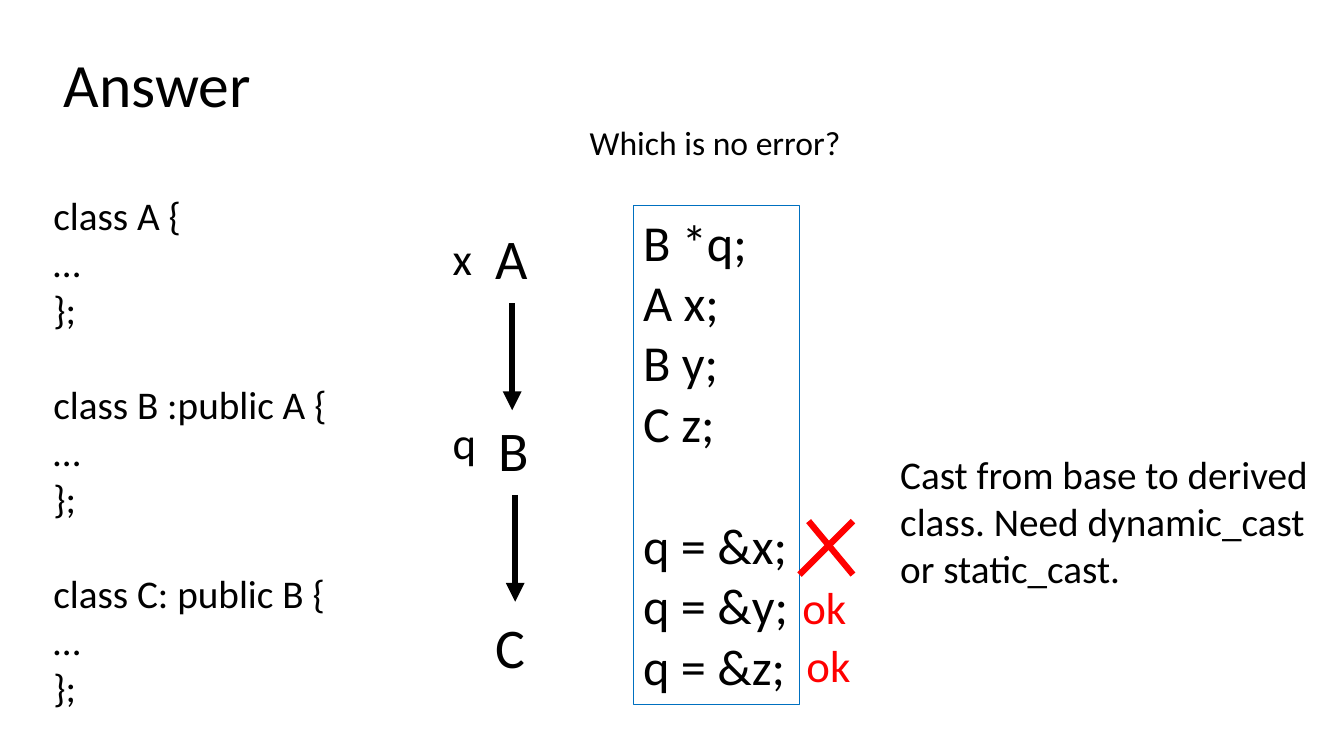
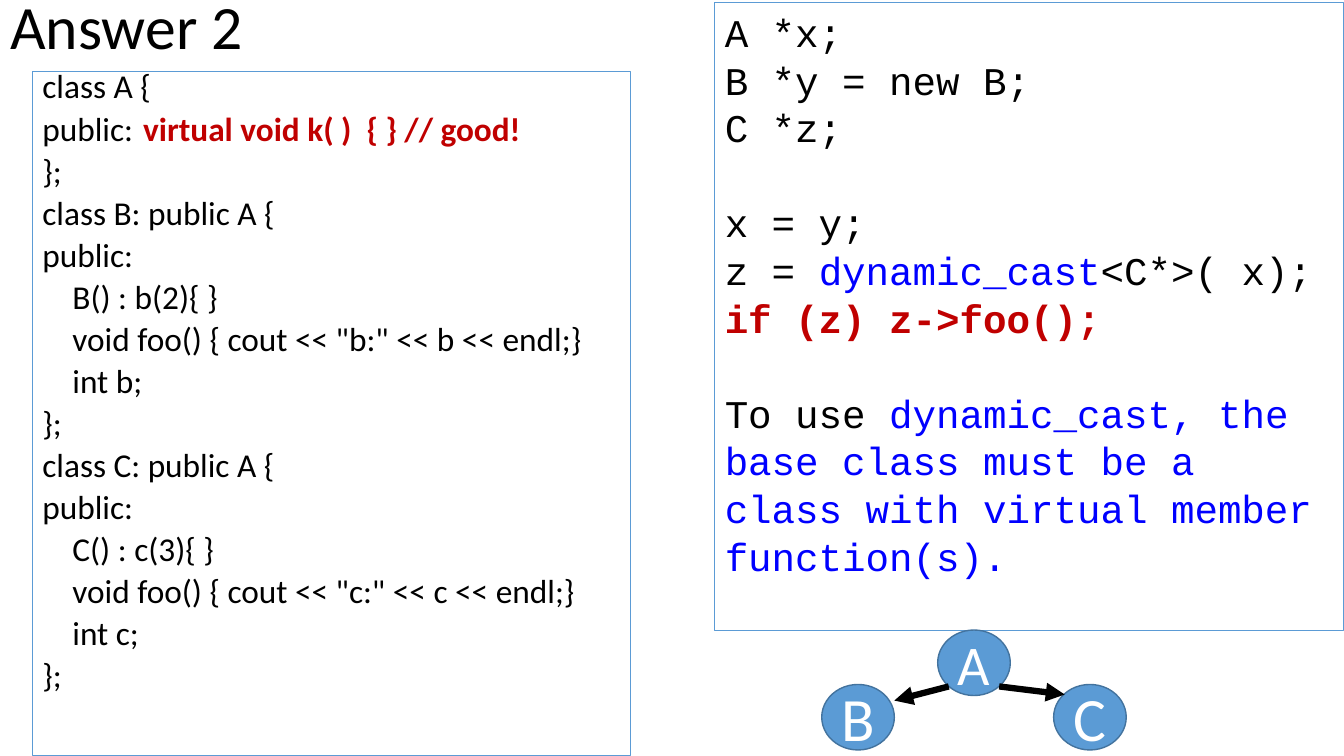
from pptx import Presentation
from pptx.dml.color import RGBColor
from pptx.enum.shapes import MSO_CONNECTOR as Connector, MSO_SHAPE as Shape
from pptx.enum.text import MSO_ANCHOR as Anchor, MSO_AUTO_SIZE as AutoSize, PP_ALIGN as Align
from pptx.oxml.ns import qn
from pptx.util import Inches, Pt
from lxml.etree import SubElement

BLACK = RGBColor(0x00, 0x00, 0x00)
WHITE = RGBColor(0xFF, 0xFF, 0xFF)
RED = RGBColor(0xFF, 0x00, 0x00)
DARK_RED = RGBColor(0xC0, 0x00, 0x00)
BLUE = RGBColor(0x00, 0x00, 0xFF)
FRAME_BLUE = RGBColor(0x00, 0x70, 0xC0)
NODE_BLUE = RGBColor(0x5B, 0x9B, 0xD5)
NODE_EDGE = RGBColor(0x43, 0x73, 0x9E)
SANS, MONO = "Calibri", "Courier New"
TITLE_W, TITLE_H = 11.5, 1.45
STROKE = 4.5


def inches(*lengths):
    return [Inches(v) for v in lengths]


def place(shape, box):
    shape.left, shape.top, shape.width, shape.height = inches(*box)


def write(tf, lines, size=28, color=BLACK, font=SANS, align=Align.LEFT,
          spacing=None, before=0, gap=0, bullet=True):
    """Fill tf; a line is a string or a list of (text, colour, bold), None a gap."""
    p, extra = None, 0
    for line in lines:
        if line is None:
            extra = gap
            continue
        first = p is None
        p = tf.paragraphs[0] if first else tf.add_paragraph()
        if not bullet:
            pPr = p._p.get_or_add_pPr()
            pPr.set("marL", "0")
            pPr.set("indent", "0")
            SubElement(pPr, qn("a:buNone"))
        p.alignment = align
        p.space_before = Pt(0 if first else before + extra)
        if spacing:
            p.line_spacing = spacing
        extra = 0
        for text, tint, bold in [(line, color, False)] if isinstance(line, str) else line:
            r = p.add_run()
            r.text = text
            r.font.name, r.font.size, r.font.bold = font, Pt(size), bold
            r.font.color.rgb = tint


def frame(shape, color, width=0.75):
    shape.line.color.rgb = color
    shape.line.width = Pt(width)


def text_box(s, box, lines, wrap=False, grow=True, **fmt):
    tb = s.shapes.add_textbox(*inches(*box))
    tf = tb.text_frame
    tf.word_wrap = wrap
    tf.auto_size = AutoSize.SHAPE_TO_FIT_TEXT if grow else AutoSize.NONE
    write(tf, lines, **fmt)
    return tb


def stroke(s, start, end, color=BLACK, arrow=False):
    c = s.shapes.add_connector(Connector.STRAIGHT, *inches(*start, *end))
    c.line.color.rgb = color
    c.line.width = Pt(STROKE)
    if arrow:
        SubElement(c.line._get_or_add_ln(), qn("a:tailEnd"), type="triangle")
    SubElement(c._element.spPr, qn("a:effectLst"))


def titled_slide(prs, layout, title, left, top):
    s = prs.slides.add_slide(prs.slide_layouts[layout])
    place(s.shapes.title, (left, top, TITLE_W, TITLE_H))
    tf = s.shapes.title.text_frame
    tf.vertical_anchor = Anchor.MIDDLE
    tf.auto_size = AutoSize.NONE
    write(tf, [title], size=44, spacing=0.9)
    return s


def inheritance_chain(s, x, y):
    """Three classes, one below the other, with the variables beside them."""
    column = x + 0.43
    levels = [("A", 0, 0), ("B", 0.03, 1.9), ("C", 0, 3.86)]
    for name, dx, dy in levels:
        text_box(s, (column + dx, y + dy, 0.53, 0.77), [name], size=40)
    for _, dx, dy in levels[:-1]:
        cx = column + 0.26 + dx
        stroke(s, (cx, y + dy + 0.84), (cx, y + dy + 1.9), arrow=True)
    for name, dy, w in [("x", 0.07, 0.4), ("q", 1.9, 0.44)]:
        text_box(s, (x, y + dy, w, 0.64), [name], size=32)


def assignments(s, x, y, w, h):
    """Framed statements with a verdict beside each of the last three."""
    text_box(s, (x - 0.53, y - 0.88, 2.71, 0.5), ["Which is no error?"], size=24)
    code = ["B *q;", "A x;", "B y;", "C z;", None, "q = &x;", "q = &y;", "q = &z;"]
    frame(text_box(s, (x, y, w, h), code, size=36, gap=44), FRAME_BLUE)
    right, top, side = x + w, y + 3.13, 0.53
    stroke(s, (right, top + side), (right + side, top), RED)
    stroke(s, (right + 0.09, top), (right + side, top + side), RED)
    for dx, dy in [(-0.07, 3.66), (-0.03, 4.24)]:
        text_box(s, (right + dx, y + dy, 0.64, 0.64), ["ok"], size=32, color=RED)


def class_list(s, box):
    body = s.placeholders[1]
    place(body, box)
    frame(body, NODE_BLUE)
    tf = body.text_frame
    tf.auto_size = AutoSize.NONE
    tf.vertical_anchor = Anchor.TOP

    def derived(name, value):
        var = name.lower()
        return [f"class {name}: public A {{", "public:",
                f"    {name}() : {var}({value}){{ }}",
                f'    void foo() {{ cout << "{var}:" << {var} << endl;}}',
                f"    int {var};", "};"]

    public = [("public: ", BLACK, False),
              ("\tvirtual void k( )  { } // good!", DARK_RED, True)]
    write(tf, ["class A {", public, "};", *derived("B", 2), *derived("C", 3)],
          size=23.8, spacing=0.7, before=10, bullet=False)


def cast_panel(s, box):
    rule = ("dynamic_cast, the base class must be a class with virtual member "
            "function(s).")
    lines = ["A *x;", "B *y = new B;", "C *z;", None, "x = y;",
             [("z = ", BLACK, False), ("dynamic_cast", BLUE, False),
              ("<C*>( x);", BLACK, False)],
             [("if (z) z->foo();", DARK_RED, True)], None,
             [("To use ", BLACK, False), (rule, BLUE, False)]]
    panel = text_box(s, box, lines, wrap=True, grow=False, font=MONO,
                     spacing=Pt(34), gap=34)
    frame(panel, NODE_BLUE)


def class_tree(s, x, y):
    """Base class A above its two derived classes."""
    step, drop, w, h = 1.15, 0.54, 0.72, 0.65
    for name, col, row, size in [("B", 0, 1, 44), ("A", 1, 0, 40), ("C", 2, 1, 44)]:
        node = s.shapes.add_shape(
            Shape.OVAL, *inches(x + col * step, y + row * drop, w, h))
        node.shadow.inherit = False
        node.fill.solid()
        node.fill.fore_color.rgb = NODE_BLUE
        frame(node, NODE_EDGE, 1)
        tf = node.text_frame
        tf.word_wrap = False
        tf.vertical_anchor = Anchor.MIDDLE
        write(tf, [name], size=size, color=WHITE, align=Align.CENTER)
    stroke(s, (x + 1.26, y + 0.56), (x + w, y + 0.7), arrow=True)
    stroke(s, (x + 1.76, y + 0.56), (x + 2.41, y + 0.64), arrow=True)


def pointer_answer(prs):
    s = titled_slide(prs, 5, "Answer", 0.53, 0.14)
    classes = ["class A {", "…", "};", None, "class B :public A {", "…", "};", None,
               "class C: public B {", "…", "};"]
    text_box(s, (0.43, 1.85, 2.95, 5.28), classes, gap=34)
    inheritance_chain(s, 4.39, 2.17)
    assignments(s, 6.28, 2.04, 1.65, 4.95)
    note = "Cast from base to derived class. Need dynamic_cast or static_cast."
    text_box(s, (8.83, 4.42, 4.62, 1.51), [note], wrap=True)


def dynamic_cast_answer(prs):
    s = titled_slide(prs, 1, "Answer 2", 0, -0.43)
    class_list(s, (0.32, 0.71, 5.93, 6.79))
    cast_panel(s, (7.09, 0.03, 6.24, 6.23))
    class_tree(s, 8.15, 6.25)


def main():
    prs = Presentation()
    prs.slide_width, prs.slide_height = inches(13.33, 7.5)
    pointer_answer(prs)
    dynamic_cast_answer(prs)
    prs.save("out.pptx")


if __name__ == "__main__":
    main()
